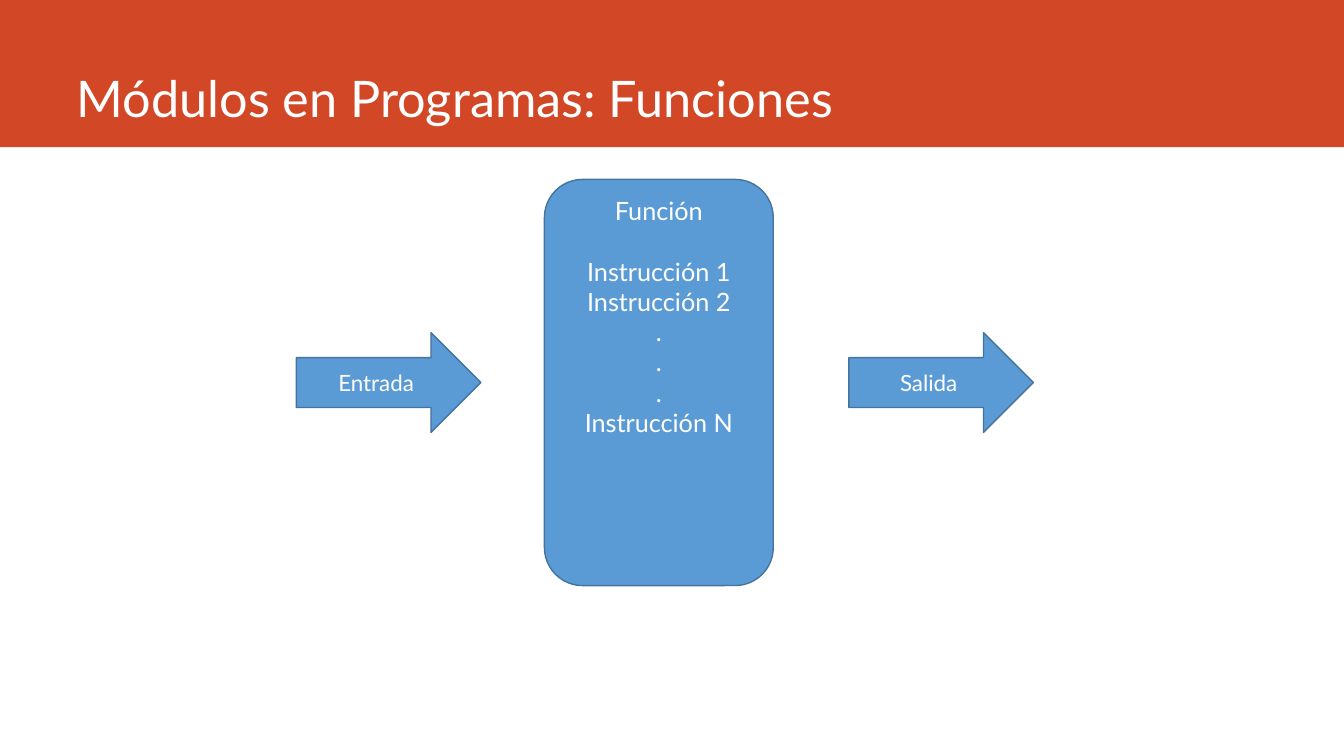
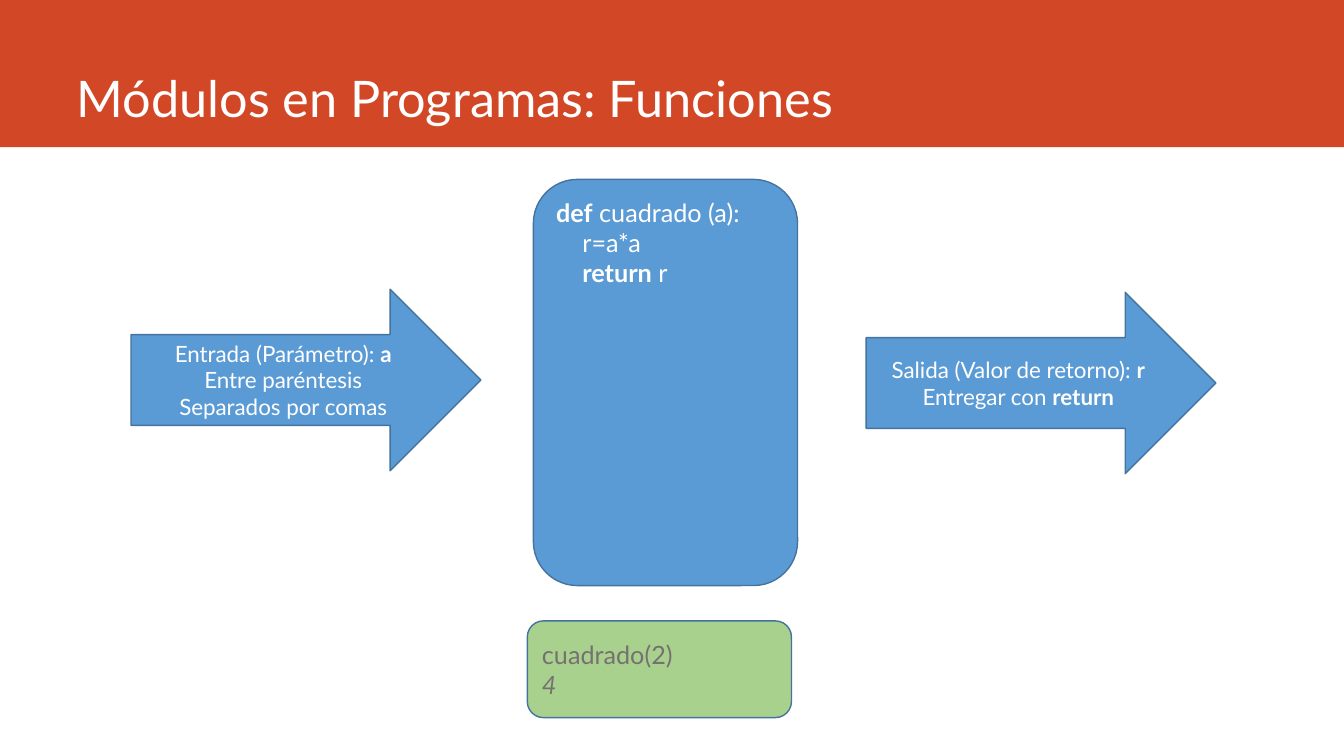
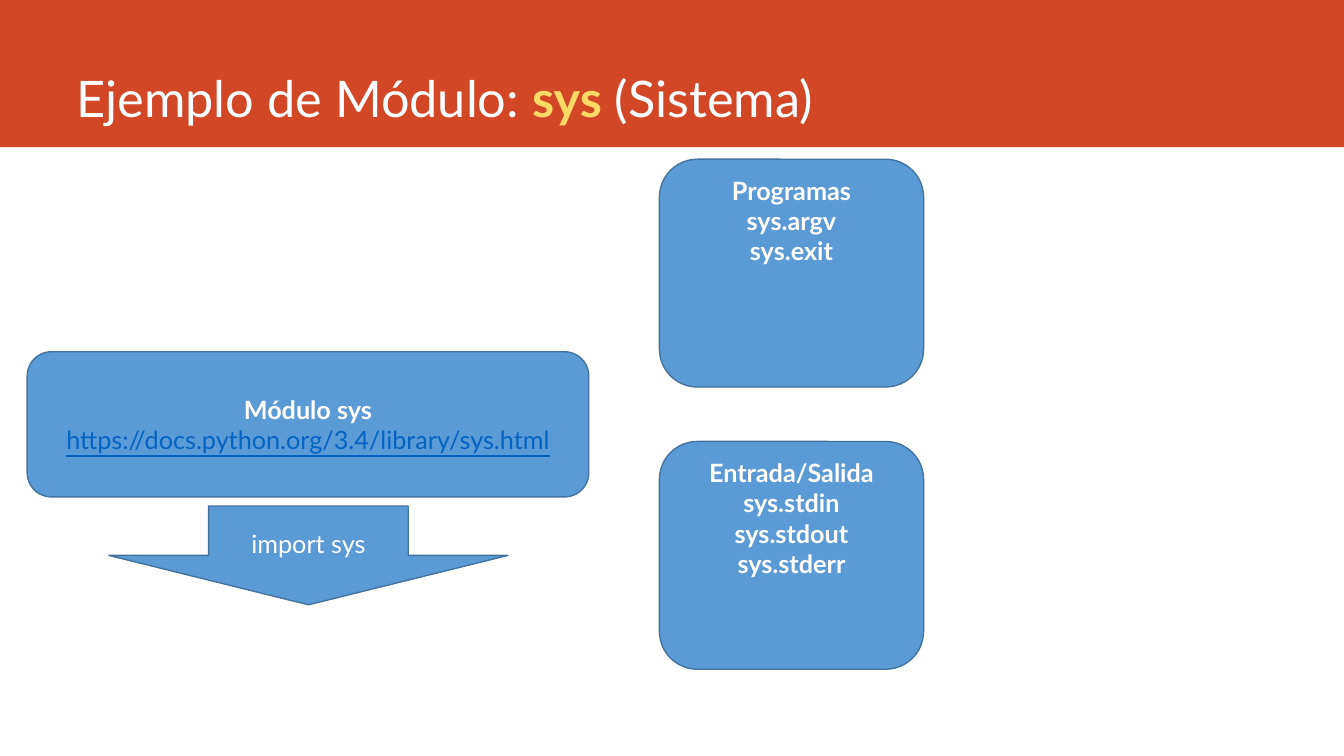
from pptx import Presentation
from pptx.dml.color import RGBColor
from pptx.enum.shapes import MSO_SHAPE
from pptx.enum.text import MSO_ANCHOR, MSO_AUTO_SIZE, PP_ALIGN
from pptx.util import Inches, Pt

RECTANGLE, ROUNDED = MSO_SHAPE.RECTANGLE, MSO_SHAPE.ROUNDED_RECTANGLE
RIGHT_ARROW, DOWN_ARROW = MSO_SHAPE.RIGHT_ARROW, MSO_SHAPE.DOWN_ARROW
TOP, MIDDLE, BOTTOM = MSO_ANCHOR.TOP, MSO_ANCHOR.MIDDLE, MSO_ANCHOR.BOTTOM
LEFT, CENTER = PP_ALIGN.LEFT, PP_ALIGN.CENTER
NO_AUTOFIT = MSO_AUTO_SIZE.NONE

WHITE = RGBColor(0xFF, 0xFF, 0xFF)
ORANGE = RGBColor(0xD2, 0x47, 0x26)
YELLOW = RGBColor(0xFF, 0xD9, 0x66)
BLUE = RGBColor(0x5B, 0x9B, 0xD5)
DARK_BLUE = RGBColor(0x43, 0x73, 0x9E)
LINK_BLUE = RGBColor(0x05, 0x63, 0xC1)
GREEN = RGBColor(0xA9, 0xD1, 0x8E)
GRAY = RGBColor(0x76, 0x71, 0x71)

FONT = "Lato"
BOLD = {"bold": True}
SLIDE_WIDTH = 13.33
BAND_HEIGHT = 1.46
BAND_ID = 20
CODE_INDENT = 0.26
LINE_HEIGHT = 21.6
FUNCTION_TOP, FUNCTION_HEIGHT = 1.78, 4.03
BOX_WIDTH = 2.62


class SlideBuilder:
    """Holds the deck style and the current slide."""

    def __init__(self):
        self.deck = Presentation()
        self.deck.slide_width = Inches(SLIDE_WIDTH)
        self.deck.slide_height = Inches(7.5)
        self.layout = self.deck.slide_layouts[5]
        self.page = None

    def add_slide(self, *title_spans):
        self.page = self.deck.slides.add_slide(self.layout)
        title = self.page.shapes.title
        place = {"left": 0.66, "top": 0, "width": 11.76, "height": 1.32}
        for name, value in place.items():
            setattr(title, name, Inches(value))
        title.text_frame.auto_size = NO_AUTOFIT
        self.fill_text(title, [title_spans], size=36, align=LEFT, anchor=BOTTOM)

    def add_band_to_layout(self):
        band = self.add_shape(RECTANGLE, 0, 0, SLIDE_WIDTH, BAND_HEIGHT, ORANGE)
        band.line.fill.background()
        band._element.nvSpPr.cNvPr.id = BAND_ID
        self.layout.shapes._spTree.insert(2, band._element)

    def add_shape(self, kind, left, top, width, height, fill=BLUE):
        area = [Inches(value) for value in (left, top, width, height)]
        shape = self.page.shapes.add_shape(kind, *area)
        shape.shadow.inherit = False
        shape.fill.solid()
        shape.fill.fore_color.rgb = fill
        shape.line.color.rgb = DARK_BLUE
        shape.line.width = Pt(1)
        return shape

    def add_box(self, left, top, width, height, lines, fill=BLUE, **style):
        box = self.add_shape(ROUNDED, left, top, width, height, fill)
        return self.fill_text(box, lines, **style)

    def add_arrow(self, kind, left, top, width, height, lines, size=16):
        arrow = self.add_shape(kind, left, top, width, height)
        return self.fill_text(arrow, lines, size=size, anchor=MIDDLE)

    def fill_text(self, shape, lines, size=18, color=WHITE, align=CENTER, anchor=TOP):
        frame = shape.text_frame
        frame.word_wrap = True
        frame.vertical_anchor = anchor
        for index, spans in enumerate(lines):
            para = frame.paragraphs[0] if index == 0 else frame.add_paragraph()
            para.alignment = align
            for span in [spans] if isinstance(spans, str) else spans:
                text, extra = (span, {}) if isinstance(span, str) else span
                run = para.add_run()
                run.text = text
                values = {"name": FONT, "size": Pt(size), "color": color, **extra}
                run.font.color.rgb = values.pop("color")
                for name, value in values.items():
                    setattr(run.font, name, value)
        return frame.paragraphs


def build_function_slide(builder):
    builder.add_slide("Módulos en Programas: Funciones")
    lines = ["Función", "Instrucción 1", "Instrucción 2", ".", ".", ".", "Instrucción N"]
    paras = builder.add_box(5.4, FUNCTION_TOP, 2.27, FUNCTION_HEIGHT, lines)
    paras[0].space_after = Pt(LINE_HEIGHT)
    for left, label in ((2.94, "Entrada"), (8.42, "Salida")):
        builder.add_arrow(RIGHT_ARROW, left, 3.3, 1.83, 0.99, [label])


def build_square_slide(builder):
    builder.add_slide("Módulos en Programas: Funciones")
    code = [
        [("def", BOLD), " cuadrado (a):"],
        "r=a*a",
        [("return", BOLD), " r"],
    ]
    paras = builder.add_box(5.29, FUNCTION_TOP, BOX_WIDTH, FUNCTION_HEIGHT, code, align=LEFT)
    for para in paras[1:]:
        para._p.get_or_add_pPr().set("marL", str(Inches(CODE_INDENT)))
    inputs = [
        ["Entrada (Parámetro): ", ("a", BOLD)],
        "Entre paréntesis",
        "Separados por comas",
    ]
    outputs = [
        ["Salida (Valor de retorno): ", ("r", BOLD)],
        ["Entregar con ", ("return", BOLD)],
    ]
    for left, top, lines in ((1.3, 2.87, inputs), (8.59, 2.9, outputs)):
        builder.add_arrow(RIGHT_ARROW, left, top, 3.47, 1.8, lines)
    call = ["cuadrado(2)", [("4", {"italic": True})]]
    builder.add_box(5.23, 6.16, BOX_WIDTH, 0.96, call, GREEN,
                    color=GRAY, align=LEFT, anchor=MIDDLE)


def build_module_slide(builder):
    builder.add_slide("Ejemplo de Módulo: ", ("sys", {**BOLD, "color": YELLOW}), " (Sistema)")
    link = {"color": LINK_BLUE, "underline": True}
    module = [
        [("Módulo sys", BOLD)],
        [("https://docs.python.org/3.4/library/sys.html", link)],
    ]
    builder.add_box(0.27, 3.49, 5.57, 1.44, module, anchor=MIDDLE)
    groups = (
        (1.58, ["Programas", "sys.argv", "sys.exit"]),
        (4.38, ["Entrada/Salida", "sys.stdin", "sys.stdout", "sys.stderr"]),
    )
    for top, names in groups:
        lines = [[(name, BOLD)] for name in names]
        builder.add_box(6.54, top, BOX_WIDTH, 2.26, lines)
    builder.add_arrow(DOWN_ARROW, 1.08, 5.02, 3.96, 0.98, ["import sys"], size=18)


def main():
    builder = SlideBuilder()
    build_function_slide(builder)
    build_square_slide(builder)
    build_module_slide(builder)
    builder.add_band_to_layout()
    builder.deck.save("out.pptx")


if __name__ == "__main__":
    main()
